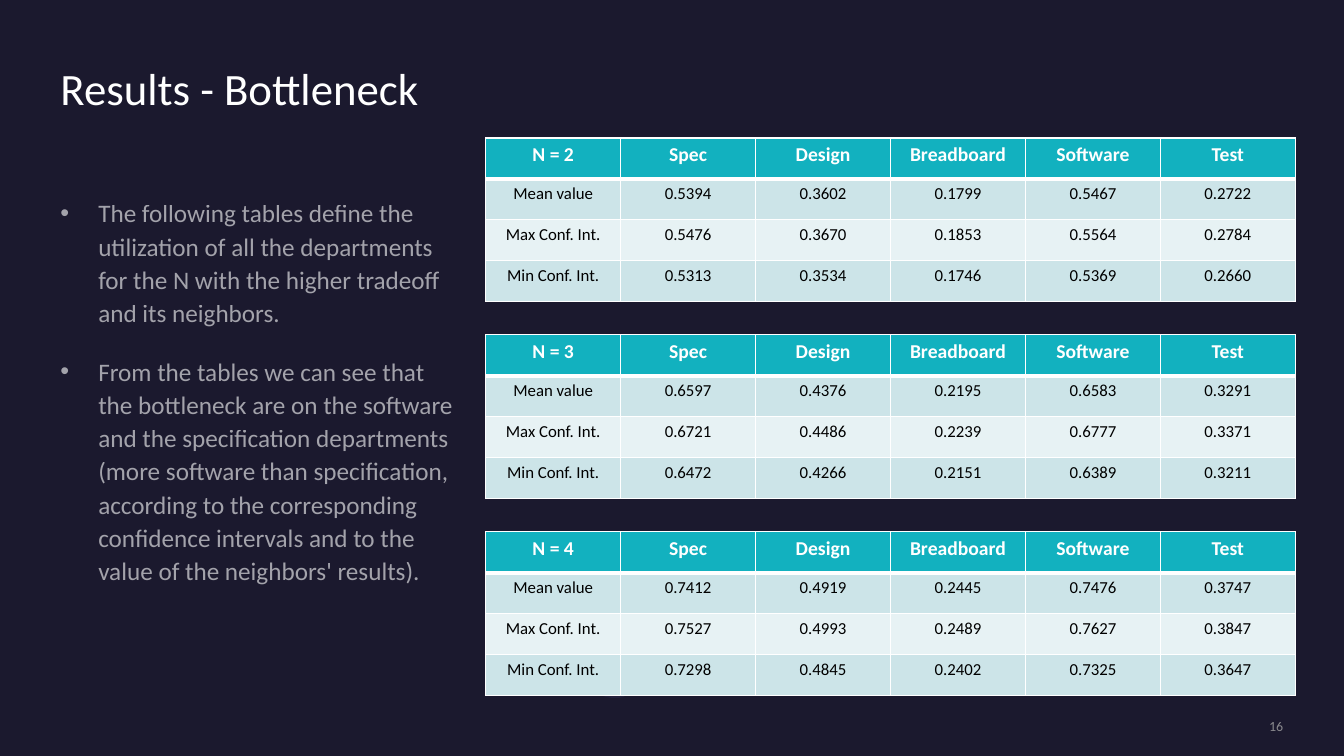
from lxml import etree
from pptx import Presentation
from pptx import util as u
from pptx.dml.color import RGBColor
from pptx.enum import shapes, text
from pptx.oxml.ns import qn

FONT = "Calibri"
WHITE = "FFFFFF"
HEADER = "12B1BF"
BANDS = ("CCE4E8", "E7F2F4")
DEPARTMENTS = ["Spec", "Design", "Breadboard", "Software", "Test"]
MEASURES = ["Mean value", "Max Conf. Int.", "Min Conf. Int."]
UTILIZATION = {
    "N = 2": ["0.5394 0.3602 0.1799 0.5467 0.2722",
              "0.5476 0.3670 0.1853 0.5564 0.2784",
              "0.5313 0.3534 0.1746 0.5369 0.2660"],
    "N = 3": ["0.6597 0.4376 0.2195 0.6583 0.3291",
              "0.6721 0.4486 0.2239 0.6777 0.3371",
              "0.6472 0.4266 0.2151 0.6389 0.3211"],
    "N = 4": ["0.7412 0.4919 0.2445 0.7476 0.3747",
              "0.7527 0.4993 0.2489 0.7627 0.3847",
              "0.7298 0.4845 0.2402 0.7325 0.3647"],
}
FINDINGS = [
    "The following tables define the utilization of all the departments "
    "for the N with the higher tradeoff and its neighbors.",
    "From the tables we can see that the bottleneck are on the software and "
    "the specification departments (more software than specification, "
    "according to the corresponding confidence intervals and to the value of "
    "the neighbors' results).",
]
TABLE_LEFT, TABLE_TOP, TABLE_PITCH = 347, 98.5, 140.7
COLUMN_WIDTH, ROW_HEIGHT = 96.4, 29.25


def color(value):
    return RGBColor.from_string(value)


def box(left, top, width, height):
    return [u.Pt(length) for length in (left, top, width, height)]


def write(paragraph, words, size=12, ink=WHITE, bold=False, align="LEFT", opacity=100):
    paragraph.alignment = getattr(text.PP_ALIGN, align)
    run = paragraph.add_run()
    run.text = words
    run.font.name, run.font.size, run.font.bold = FONT, u.Pt(size), bold
    run.font.color.rgb = color(ink)
    if opacity < 100:
        rgb = run._r.find(".//" + qn("a:srgbClr"))
        etree.SubElement(rgb, qn("a:alpha"), val=str(opacity * 1000))


def set_frame(frame, anchor="TOP"):
    frame.word_wrap = True
    frame.auto_size = text.MSO_AUTO_SIZE.NONE
    frame.vertical_anchor = getattr(text.MSO_ANCHOR, anchor)
    frame.margin_left = frame.margin_right = frame.margin_top = frame.margin_bottom = 0
    return frame


def add_text_area(slide, place, anchor="TOP"):
    return set_frame(slide.shapes.add_textbox(*box(*place)).text_frame, anchor)


def make_bullet(paragraph):
    paragraph.line_spacing = 1.1
    paragraph.space_before, paragraph.space_after = u.Pt(10), u.Pt(8)
    properties = paragraph._p.get_or_add_pPr()
    properties.set("marL", str(u.Pt(27)))
    properties.set("indent", str(u.Pt(-27)))
    etree.SubElement(properties, qn("a:buFont"), typeface="Arial")
    etree.SubElement(properties, qn("a:buChar"), char="•")


def add_border(cell, side, weight):
    line = etree.SubElement(cell._tc.get_or_add_tcPr(), qn("a:ln" + side), w=str(u.Pt(weight)))
    solid = etree.SubElement(line, qn("a:solidFill"))
    etree.SubElement(solid, qn("a:srgbClr"), val=WHITE)


def fill_cell(cell, words, row):
    weights = {"L": 1, "R": 1, "T": 3 if row == 1 else 1, "B": 1 if row else 3}
    for side, weight in weights.items():
        add_border(cell, side, weight)
    cell.fill.solid()
    cell.fill.fore_color.rgb = color(BANDS[(row - 1) % 2] if row else HEADER)
    look = dict(size=12, ink="000000") if row else dict(size=14, bold=True)
    write(cell.text_frame.paragraphs[0], words, align="CENTER", **look)


def add_utilization(slide, top, heading, results):
    rows = [[heading, *DEPARTMENTS]]
    rows += [[measure, *values.split()] for measure, values in zip(MEASURES, results)]
    count, width = len(rows), len(rows[0])
    place = box(TABLE_LEFT, top, COLUMN_WIDTH * width, ROW_HEIGHT * count)
    table = slide.shapes.add_table(count, width, *place).table
    table.horz_banding = False
    for column in table.columns:
        column.width = u.Pt(COLUMN_WIDTH)
    for r, entries in enumerate(rows):
        table.rows[r].height = u.Pt(ROW_HEIGHT)
        for c, words in enumerate(entries):
            fill_cell(table.cell(r, c), words, r)


def add_ornament(slide):
    ornament = slide.shapes.add_shape(shapes.MSO_SHAPE.OVAL, *box(398.2, 422.6, 42.5, 85))
    ornament.rotation = 135
    ornament.shadow.inherit = False
    ornament.line.fill.background()
    ornament.fill.gradient()
    ornament.fill.gradient_angle = 270
    for stop, (position, shade) in zip(ornament.fill.gradient_stops, [(0.5, "23213C"), (1, "2C284A")]):
        stop.position, stop.color.rgb = position, color(shade)


def main():
    deck = Presentation()
    deck.slide_width, deck.slide_height = u.Pt(960), u.Pt(540)
    slide = deck.slides.add_slide(deck.slide_layouts[5])
    slide.background.fill.solid()
    slide.background.fill.fore_color.rgb = color("1B192E")

    add_ornament(slide)
    title = slide.shapes.title
    title.left, title.top, title.width, title.height = box(43.2, 43.2, 873.4, 77.8)
    write(set_frame(title.text_frame).paragraphs[0], "Results - Bottleneck", size=32)

    findings = add_text_area(slide, (43.2, 139, 280.8, 316.8))
    for index, finding in enumerate(FINDINGS):
        paragraph = findings.add_paragraph() if index else findings.paragraphs[0]
        make_bullet(paragraph)
        write(paragraph, finding, size=18, opacity=60)

    page_number = add_text_area(slide, (783.4, 512.6, 133.2, 12.2), anchor="MIDDLE")
    write(page_number.paragraphs[0], "16", size=10, ink="A6A6A6", align="RIGHT", opacity=80)

    for index, (heading, results) in enumerate(UTILIZATION.items()):
        add_utilization(slide, TABLE_TOP + index * TABLE_PITCH, heading, results)
    deck.save("out.pptx")


if __name__ == "__main__":
    main()
